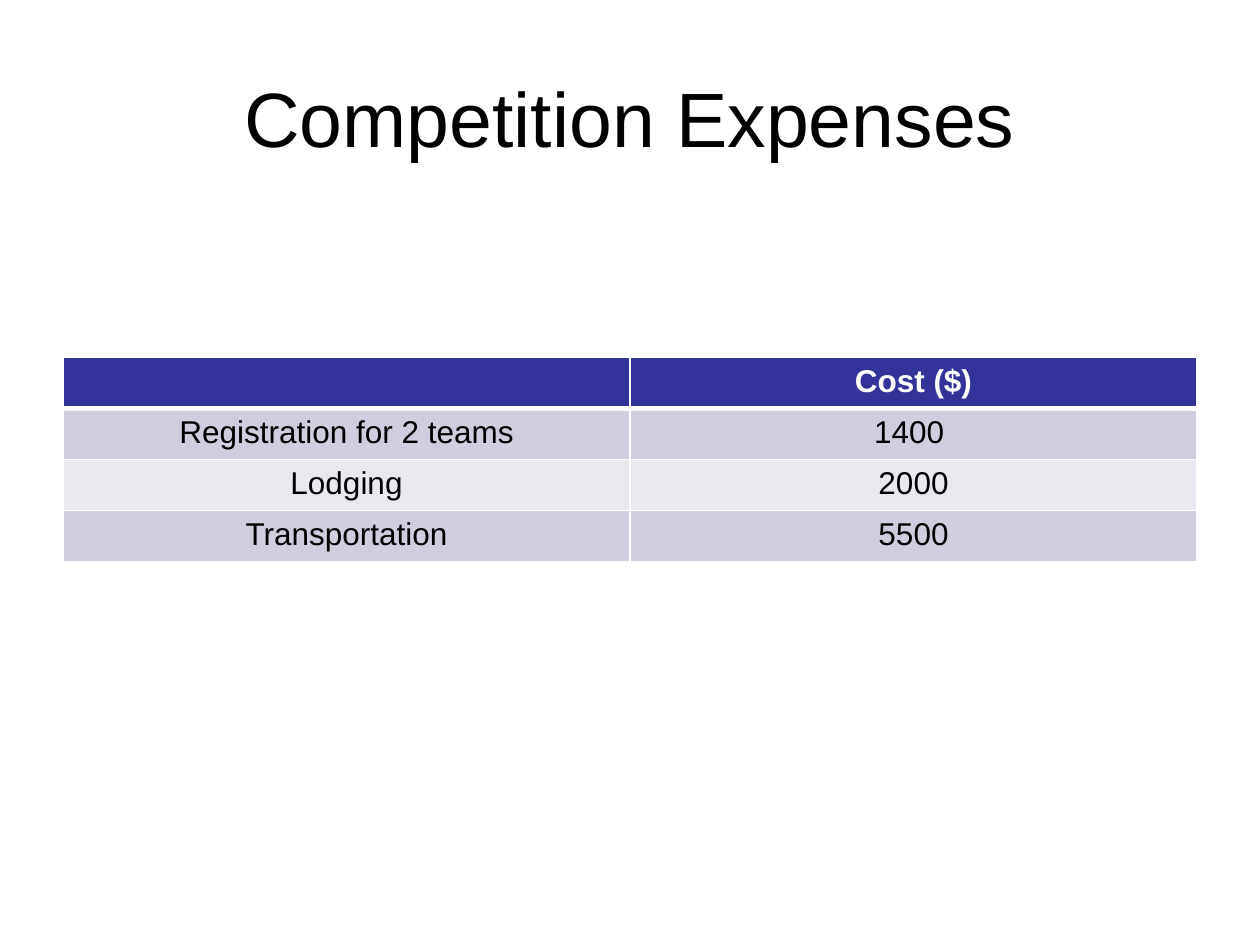
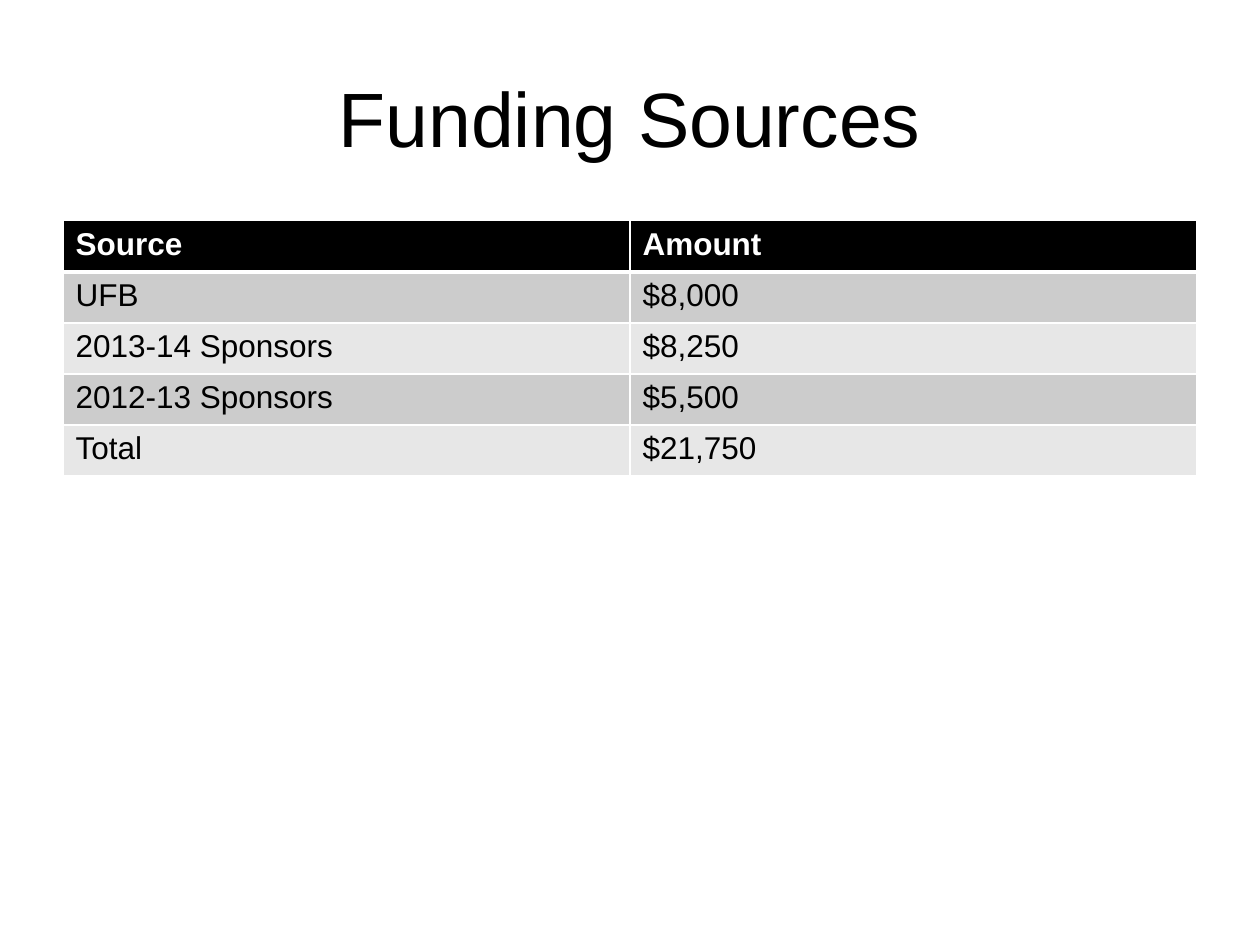
from dataclasses import dataclass

from lxml.etree import SubElement
from pptx import Presentation
from pptx.dml.color import RGBColor
from pptx.enum.text import MSO_ANCHOR, PP_ALIGN
from pptx.oxml.ns import qn
from pptx.util import Cm, Pt


@dataclass(frozen=True)
class Theme:
    font: str = "Arial"
    title_size: int = 44
    table_size: int = 18
    ink: str = "000000"
    paper: str = "FFFFFF"
    indigo: tuple = ("333399", "CECEDE", "E8E8EF")
    grey: tuple = ("000000", "CCCCCC", "E7E7E7")
    thin: int = 1
    thick: int = 3
    left: Cm = Cm(1.27)
    width: Cm = Cm(22.86)
    row_height: Cm = Cm(1.03)


class Deck:
    def __init__(self, theme):
        self.theme = theme
        self.deck = Presentation()
        self.deck.slide_width = Cm(25.4)
        self.deck.slide_height = Cm(19.05)
        self.page = None

    def add_page(self, title):
        self.page = self.deck.slides.add_slide(self.deck.slide_layouts[6])
        self.add_title(title)

    def add_title(self, text):
        theme = self.theme
        box = self.page.shapes.add_textbox(theme.left, Cm(0.76), theme.width, Cm(3.18))
        frame = box.text_frame
        frame.word_wrap = True
        frame.vertical_anchor = MSO_ANCHOR.MIDDLE
        frame.text = text
        self.style_text(frame, theme.title_size, theme.ink, PP_ALIGN.CENTER)

    def style_text(self, frame, size, color, align, bold=False):
        for para in frame.paragraphs:
            para.alignment = align
            for span in para.runs:
                span.font.name = self.theme.font
                span.font.size = Pt(size)
                span.font.bold = bold
                span.font.color.rgb = RGBColor.from_string(color)

    def add_borders(self, cell, top, bottom):
        theme = self.theme
        properties = cell._tc.get_or_add_tcPr()
        widths = {"a:lnL": theme.thin, "a:lnR": theme.thin, "a:lnT": top, "a:lnB": bottom}
        for tag, width in widths.items():
            line = SubElement(properties, qn(tag), w=str(Pt(width)))
            fill = SubElement(line, qn("a:solidFill"))
            SubElement(fill, qn("a:srgbClr"), val=theme.paper)

    def add_table(self, top, rows, fills, align):
        theme = self.theme
        header_fill, *band_fills = fills
        table = self.page.shapes.add_table(
            len(rows), len(rows[0]), theme.left, top, theme.width, theme.row_height * len(rows)
        ).table
        for row_index, values in enumerate(rows):
            is_header = row_index == 0
            fill = header_fill if is_header else band_fills[(row_index - 1) % 2]
            color = theme.paper if is_header else theme.ink
            top_width = theme.thick if row_index == 1 else theme.thin
            bottom_width = theme.thick if is_header else theme.thin
            for column_index, value in enumerate(values):
                cell = table.cell(row_index, column_index)
                self.add_borders(cell, top_width, bottom_width)
                cell.fill.solid()
                cell.fill.fore_color.rgb = RGBColor.from_string(fill)
                cell.text_frame.text = value
                self.style_text(cell.text_frame, theme.table_size, color, align, is_header)

    def save(self):
        self.deck.save("out.pptx")


def main():
    theme = Theme()
    deck = Deck(theme)

    expenses = [
        ("", "Cost ($)"),
        ("Registration for 2 teams", "1400 "),
        ("Lodging", "2000"),
        ("Transportation", "5500"),
    ]
    deck.add_page("Competition Expenses")
    deck.add_table(Cm(7.2), expenses, theme.indigo, PP_ALIGN.CENTER)

    funding = [
        ("Source", "Amount"),
        ("UFB", "$8,000"),
        ("2013-14 Sponsors", "$8,250"),
        ("2012-13 Sponsors", "$5,500"),
        ("Total", "$21,750"),
    ]
    deck.add_page("Funding Sources")
    deck.add_table(Cm(4.45), funding, theme.grey, PP_ALIGN.LEFT)

    deck.save()


if __name__ == "__main__":
    main()
